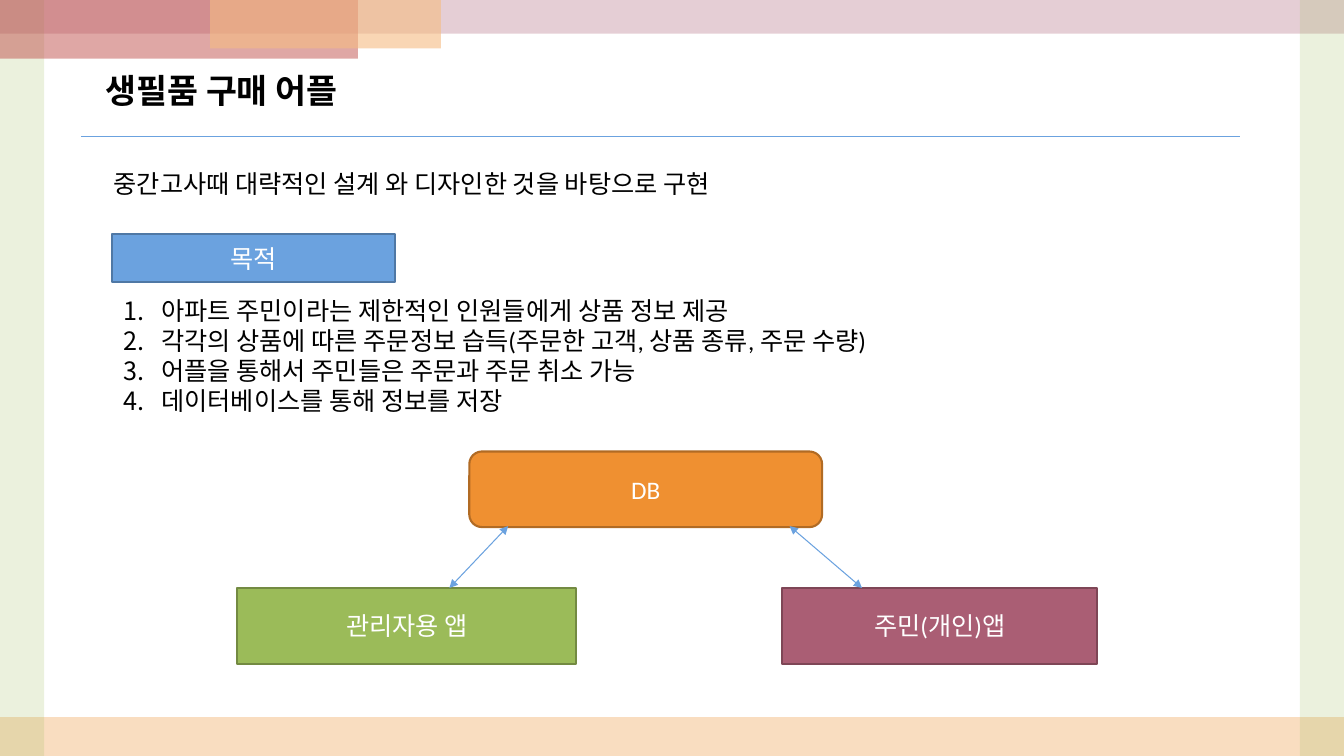
from dataclasses import dataclass

from lxml import etree
from pptx import Presentation
from pptx import util as u
from pptx.dml import color
from pptx.enum import shapes, text
from pptx.oxml import ns

PX = 9525
WIDTH, HEIGHT = 1280, 720


@dataclass(frozen=True)
class Theme:
    font: str = "Calibri"
    title_size: int = 24
    body_size: int = 18
    ink: str = "000000"
    paper: str = "FFFFFF"
    blue: str = "6BA2DF"
    blue_edge: str = "4F78A5"
    orange: str = "EF9031"
    orange_edge: str = "B16B24"
    green: str = "9BBB59"
    green_edge: str = "738A42"
    plum: str = "AA5E74"
    plum_edge: str = "7E4656"
    peach: str = "F5BC83"
    pink: str = "CC9EAC"
    red: str = "C0504D"
    thin: float = 0.75
    edge: float = 1.5


def px(*lengths):
    return [u.Emu(length * PX) for length in lengths]


def rgb(value):
    return color.RGBColor.from_string(value)


def add_element(parent, tag, **attributes):
    return etree.SubElement(parent, ns.qn(tag), attributes)


class SlideBuilder:
    def __init__(self, deck, theme):
        self.theme = theme
        self.page = deck.slides.add_slide(deck.slide_layouts[1])

    def add_span(self, para, words, ink, size, bold=False):
        span = para.add_run()
        span.text = words
        span.font.name = self.theme.font
        span.font.size = u.Pt(size)
        span.font.bold = bold
        span.font.color.rgb = rgb(ink)

    def place(self, box, area):
        """Move a text box or placeholder and let it grow with its text."""
        box.left, box.top, box.width, box.height = px(*area)
        frame = box.text_frame
        frame.word_wrap = True
        frame.auto_size = text.MSO_AUTO_SIZE.SHAPE_TO_FIT_TEXT
        frame.vertical_anchor = text.MSO_ANCHOR.TOP
        return frame

    def title(self, area, words):
        para = self.place(self.page.shapes.title, area).paragraphs[0]
        para.alignment = text.PP_ALIGN.LEFT
        self.add_span(para, words, self.theme.ink, self.theme.title_size, bold=True)

    def note(self, area, words):
        box = self.page.shapes.add_textbox(*px(*area))
        para = self.place(box, area).paragraphs[0]
        self.add_span(para, words, self.theme.ink, self.theme.body_size)

    def numbered_list(self, area, items, indent):
        frame = self.place(self.page.placeholders[1], area)
        for index, words in enumerate(items):
            para = frame.add_paragraph() if index else frame.paragraphs[0]
            properties = para._p.get_or_add_pPr()
            properties.set("marL", str(indent * PX))
            properties.set("indent", str(-indent * PX))
            add_element(properties, "a:buFont", typeface="+mj-lt")
            add_element(properties, "a:buAutoNum", type="arabicPeriod")
            para.space_before = u.Pt(0)
            self.add_span(para, words, self.theme.ink, self.theme.body_size)

    def shape(self, kind, area, fill):
        shape = self.page.shapes.add_shape(kind, *px(*area))
        shape.shadow.inherit = False
        shape.fill.solid()
        shape.fill.fore_color.rgb = rgb(fill)
        return shape

    def band(self, area, fill, opacity):
        band = self.shape(shapes.MSO_SHAPE.RECTANGLE, area, fill)
        band.line.fill.background()
        tint = band._element.spPr.find(ns.qn("a:solidFill"))[0]
        add_element(tint, "a:alpha", val=str(opacity * 1000))

    def label_box(self, kind, area, fill, edge, words):
        box = self.shape(kind, area, fill)
        box.line.color.rgb = rgb(edge)
        box.line.width = u.Pt(self.theme.edge)
        box.text_frame.vertical_anchor = text.MSO_ANCHOR.MIDDLE
        para = box.text_frame.paragraphs[0]
        para.alignment = text.PP_ALIGN.CENTER
        self.add_span(para, words, self.theme.paper, self.theme.body_size)

    def line(self, ends, arrows=False):
        line = self.page.shapes.add_connector(
            shapes.MSO_CONNECTOR.STRAIGHT, *px(*ends))
        line.line.color.rgb = rgb(self.theme.blue)
        line.line.width = u.Pt(self.theme.thin)
        if arrows:
            outline = line._element.spPr.find(ns.qn("a:ln"))
            for end in ("a:headEnd", "a:tailEnd"):
                add_element(outline, end, type="triangle")
        add_element(line._element.spPr, "a:effectLst")


def main():
    deck = Presentation()
    deck.slide_width, deck.slide_height = px(WIDTH, HEIGHT)
    theme = Theme()
    slide = SlideBuilder(deck, theme)
    kinds = shapes.MSO_SHAPE

    side = 42
    for area, fill, opacity in [
        ((0, 683, WIDTH, 37), theme.peach, 50),
        ((0, 0, WIDTH, 32), theme.pink, 50),
        ((0, 0, side, HEIGHT), theme.green, 20),
        ((0, 0, 341, 56), theme.red, 50),
        ((200, 0, 220, 46), theme.peach, 60),
        ((WIDTH - side, 0, side, HEIGHT), theme.green, 20),
    ]:
        slide.band(area, fill, opacity)

    slide.title((91, 62, 524, 48), "생필품 구매 어플")
    slide.line((77, 130, 1181, 130))
    slide.note((99, 156, 817, 38),
               "중간고사때 대략적인 설계 와 디자인한 것을 바탕으로 구현")
    slide.numbered_list((108, 276, 930, 126), [
        "아파트 주민이라는 제한적인 인원들에게 상품 정보 제공",
        "각각의 상품에 따른 주문정보 습득(주문한 고객, 상품 종류, 주문 수량)",
        "어플을 통해서 주민들은 주문과 주문 취소 가능",
        "데이터베이스를 통해 정보를 저장",
    ], indent=36)

    for kind, area, fill, edge, words in [
        (kinds.FLOWCHART_PROCESS, (107, 223, 269, 46),
         theme.blue, theme.blue_edge, "목적"),
        (kinds.ROUNDED_RECTANGLE, (447, 430, 336, 72),
         theme.orange, theme.orange_edge, "DB"),
        (kinds.RECTANGLE, (226, 560, 323, 72),
         theme.green, theme.green_edge, "관리자용 앱"),
        (kinds.FLOWCHART_PROCESS, (745, 560, 300, 72),
         theme.plum, theme.plum_edge, "주민(개인)앱"),
    ]:
        slide.label_box(kind, area, fill, edge, words)

    for db_x, app_x in [(484, 428), (752, 821)]:
        slide.line((db_x, 501, app_x, 560), arrows=True)

    deck.save("out.pptx")


if __name__ == "__main__":
    main()
